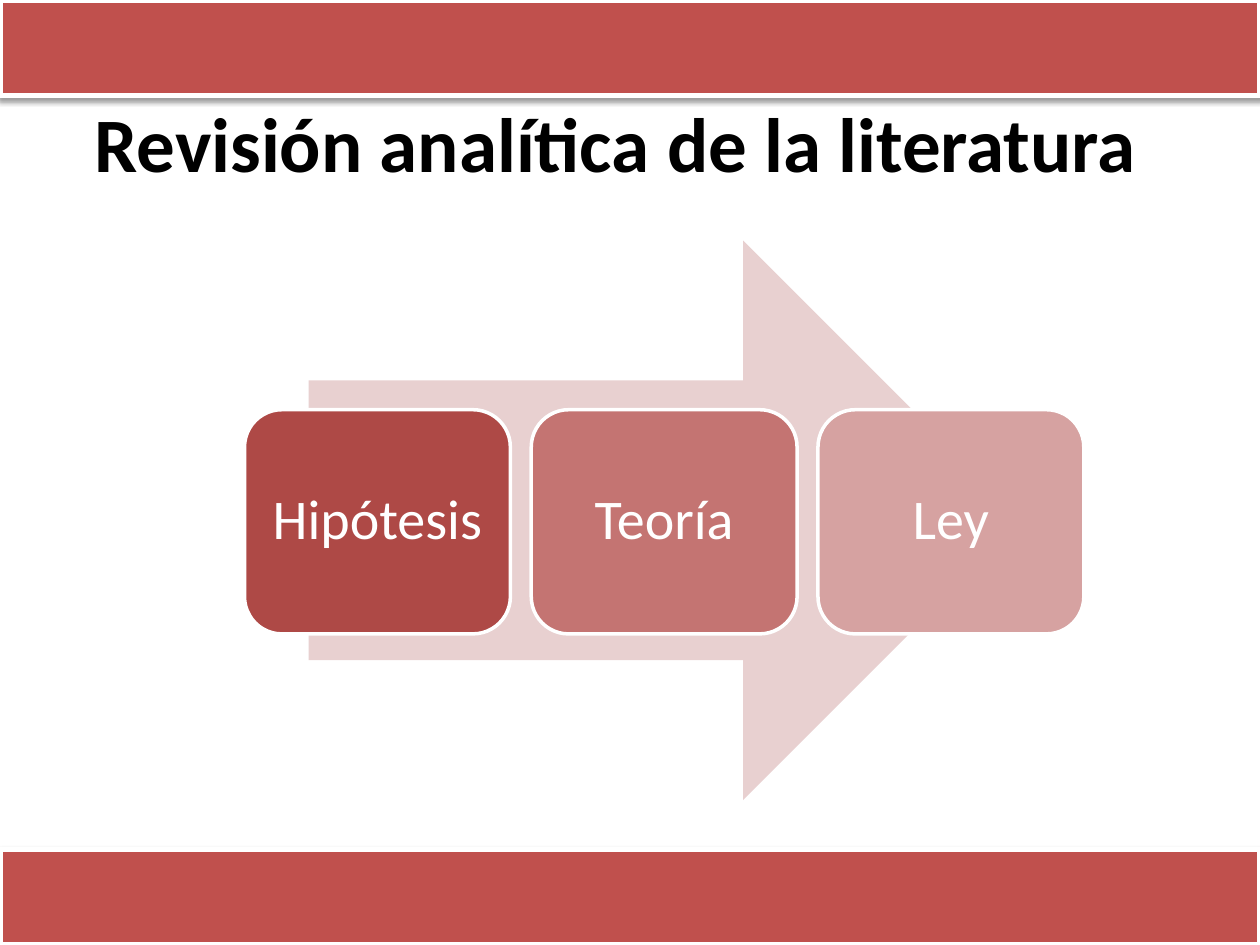
import pptx
import pptx.dml.color
import pptx.enum.shapes
import pptx.enum.text
import pptx.oxml
import pptx.oxml.ns
import pptx.util

Cm = pptx.util.Cm
Pt = pptx.util.Pt
RGBColor = pptx.dml.color.RGBColor
MSO_SHAPE = pptx.enum.shapes.MSO_SHAPE

WHITE = RGBColor(0xFF, 0xFF, 0xFF)
BLACK = RGBColor(0x00, 0x00, 0x00)
BAND_RED = RGBColor(0xC0, 0x50, 0x4D)
ARROW_PINK = RGBColor(0xE8, 0xD0, 0xD0)

TITLE = "Revisión analítica de la literatura"
STAGES = [
    ("Hipótesis", RGBColor(0xAE, 0x49, 0x46)),
    ("Teoría", RGBColor(0xC4, 0x74, 0x72)),
    ("Ley", RGBColor(0xD6, 0xA2, 0xA1)),
]

SLIDE_WIDTH, SLIDE_HEIGHT = 25.4, 19.05
BAND_HEIGHT = 1.93
STAGE_LEFT, STAGE_TOP = 4.93, 8.26
STAGE_WIDTH, STAGE_HEIGHT = 5.36, 4.52
STAGE_GAP = 0.42

BAND_SHADOW = (
    '<a:effectLst %s><a:outerShdw blurRad="40000" dist="20000" dir="5400000" '
    'rotWithShape="0"><a:srgbClr val="000000"><a:alpha val="38000"/></a:srgbClr>'
    "</a:outerShdw></a:effectLst>" % pptx.oxml.ns.nsdecls("a")
)


def add_filled(parent, kind, box, fill, line_width=None):
    shape = parent.add_shape(kind, *[Cm(length) for length in box])
    shape.fill.solid()
    shape.fill.fore_color.rgb = fill
    if line_width:
        shape.line.color.rgb = WHITE
        shape.line.width = Pt(line_width)
    else:
        shape.line.fill.background()
    shape.shadow.inherit = False
    return shape


def write_centred(shape, text, size, color, bold=False, margin=0.25):
    frame = shape.text_frame
    frame.word_wrap = True
    frame.vertical_anchor = pptx.enum.text.MSO_ANCHOR.MIDDLE
    frame.margin_left = frame.margin_right = Cm(margin)
    paragraph = frame.paragraphs[0]
    paragraph.alignment = pptx.enum.text.PP_ALIGN.CENTER
    run = paragraph.add_run()
    run.text = text
    run.font.name = "Calibri"
    run.font.size = Pt(size)
    run.font.bold = bold
    run.font.color.rgb = color
    return paragraph


def main():
    deck = pptx.Presentation()
    deck.slide_width, deck.slide_height = Cm(SLIDE_WIDTH), Cm(SLIDE_HEIGHT)
    slide = deck.slides.add_slide(deck.slide_layouts[6])

    title = slide.shapes.add_textbox(Cm(0.99), Cm(1.27), Cm(22.86), Cm(3.18))
    write_centred(title, TITLE, 44, BLACK, bold=True)

    for top in (0, SLIDE_HEIGHT - BAND_HEIGHT):
        band = add_filled(slide.shapes, MSO_SHAPE.RECTANGLE,
                          (0, top, SLIDE_WIDTH, BAND_HEIGHT), BAND_RED, 3)
        properties = band.fill._xPr
        properties.remove(properties.find(pptx.oxml.ns.qn("a:effectLst")))
        properties.append(pptx.oxml.parse_xml(BAND_SHADOW))

    process = slide.shapes.add_group_shape().shapes
    add_filled(process, MSO_SHAPE.RIGHT_ARROW, (6.22, 4.85, 14.4, 11.28), ARROW_PINK)
    for index, (name, color) in enumerate(STAGES):
        left = STAGE_LEFT + index * (STAGE_WIDTH + STAGE_GAP)
        stage = add_filled(process, MSO_SHAPE.ROUNDED_RECTANGLE,
                           (left, STAGE_TOP, STAGE_WIDTH, STAGE_HEIGHT), color, 2)
        label = write_centred(stage, name, 32, WHITE, margin=0.33)
        label.line_spacing = 0.9

    deck.save("out.pptx")


if __name__ == "__main__":
    main()
